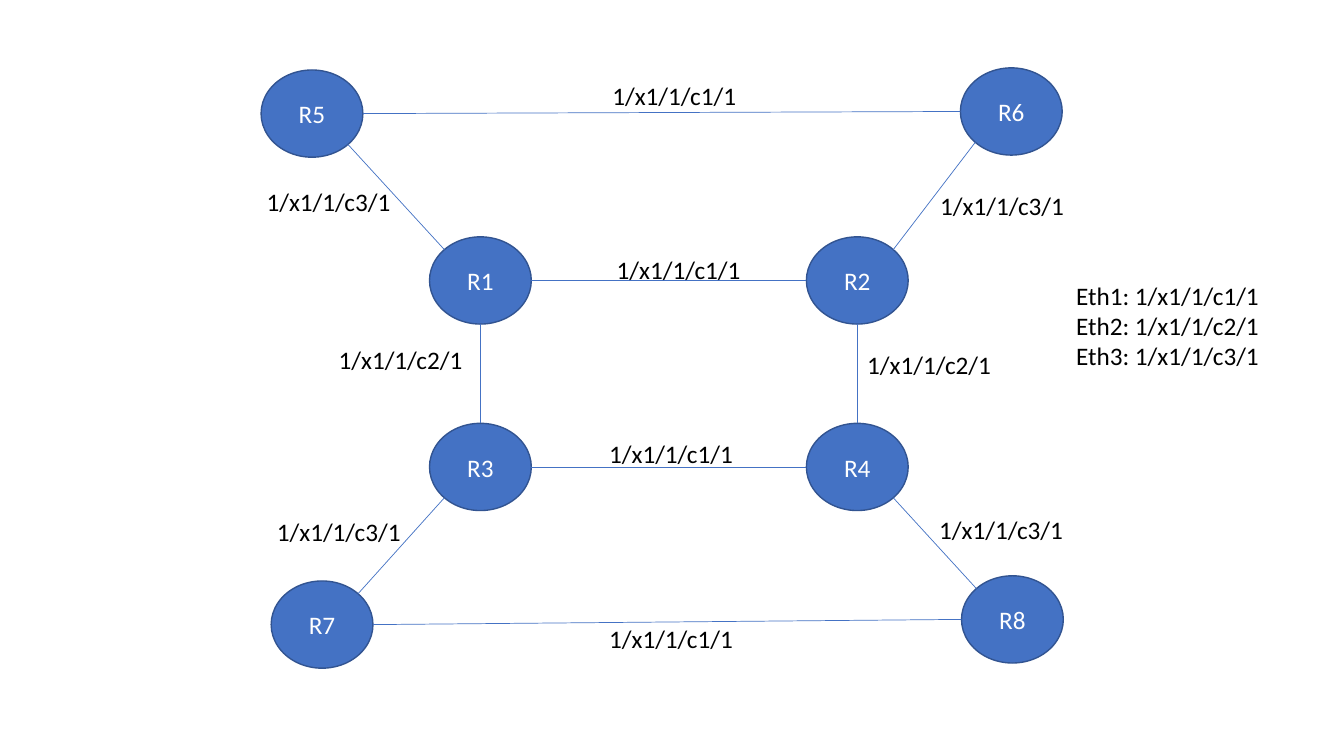
"""Router topology: eight nodes, their links and the port names."""
from math import cos, pi, sin
from typing import NamedTuple

from lxml import etree
from pptx import Presentation
from pptx.dml.color import RGBColor
from pptx.enum.shapes import MSO_CONNECTOR, MSO_SHAPE
from pptx.enum.text import MSO_ANCHOR, MSO_AUTO_SIZE, PP_ALIGN
from pptx.oxml.ns import qn
from pptx.shapes.autoshape import Shape
from pptx.slide import Slide
from pptx.text.text import TextFrame
from pptx.util import Pt

OVAL, STRAIGHT = MSO_SHAPE.OVAL, MSO_CONNECTOR.STRAIGHT
MIDDLE, CENTER, LEFT = MSO_ANCHOR.MIDDLE, PP_ALIGN.CENTER, PP_ALIGN.LEFT
FIT_SHAPE = MSO_AUTO_SIZE.SHAPE_TO_FIT_TEXT

BLUE = RGBColor(0x44, 0x72, 0xC4)
DARK_BLUE = RGBColor(0x32, 0x54, 0x91)
WHITE = RGBColor(0xFF, 0xFF, 0xFF)
BLACK = RGBColor(0, 0, 0)

FONT, FONT_SIZE = "Calibri", 18
NODE_W, NODE_H = 72.7, 62.3
LABEL_W, LABEL_H = 104.4, 29
INNER_LEFT, INNER_RIGHT = 306.8, 576
INNER_TOP, INNER_BOTTOM = 169.2, 302.4

# Connection sites of an ellipse, counted anticlockwise from the top
TOP, TOP_LEFT, W, BOTTOM_LEFT, BOTTOM, BOTTOM_RIGHT, E, TOP_RIGHT = range(8)


class Node(NamedTuple):
    """A router and its top left corner."""
    name: str
    left: float
    top: float


class Link(NamedTuple):
    """A line between the connection sites of two routers."""
    start: str
    start_site: int
    end: str
    end_site: int


class Label(NamedTuple):
    """Text and the place of its box."""
    text: str
    left: float
    top: float
    width: float = LABEL_W
    height: float = LABEL_H
    wrap: bool = False


PORT1, PORT2, PORT3 = (f"1/x1/1/c{n}/1" for n in (1, 2, 3))

NODES = [
    Node("R1", INNER_LEFT, INNER_TOP),
    Node("R3", INNER_LEFT, INNER_BOTTOM),
    Node("R2", INNER_RIGHT, INNER_TOP),
    Node("R4", INNER_RIGHT, INNER_BOTTOM),
    Node("R5", 186.5, 50),
    Node("R6", 686, 48.5),
    Node("R7", 193.7, 415),
    Node("R8", 686.8, 411.3),
]
LINKS = [
    Link("R5", BOTTOM_RIGHT, "R1", TOP_LEFT),
    Link("R1", BOTTOM, "R3", TOP),
    Link("R1", E, "R2", W),
    Link("R2", BOTTOM, "R4", TOP),
    Link("R3", E, "R4", W),
    Link("R2", TOP_RIGHT, "R6", BOTTOM_LEFT),
    Link("R7", TOP_RIGHT, "R3", BOTTOM_LEFT),
    Link("R4", BOTTOM_RIGHT, "R8", TOP_LEFT),
    Link("R5", E, "R6", W),
    Link("R7", E, "R8", W),
]
LABELS = [
    Label(PORT1, 433.4, 178.3),
    Label(PORT1, 428, 309.4),
    Label(PORT1, 430.3, 53.7),
    Label(PORT1, 428, 441.5),
    Label(PORT2, 234.8, 242.5),
    Label(PORT2, 612.3, 245.8),
    Label(PORT3, 664.5, 132.4),
    Label(PORT3, 183.3, 129.5),
    Label(PORT3, 663.8, 364),
    Label(PORT3, 190.7, 365.3),
    Label(f"Eth1: {PORT1}\nEth2: {PORT2}\nEth3: {PORT3}",
          761.6, 196.4, 190.8, 72.7, True),
]


def style_text(tf: TextFrame, color: RGBColor, align: PP_ALIGN) -> None:
    """Format every paragraph and run of a text frame."""
    for p in tf.paragraphs:
        p.alignment = align
        for r in p.runs:
            r.font.name = FONT
            r.font.size = Pt(FONT_SIZE)
            r.font.color.rgb = color


def add_node(s: Slide, node: Node) -> Shape:
    """Draw a router as a labelled ellipse."""
    sp = s.shapes.add_shape(OVAL, Pt(node.left), Pt(node.top), Pt(NODE_W), Pt(NODE_H))
    sp.shadow.inherit = False
    sp.fill.solid()
    sp.fill.fore_color.rgb = BLUE
    sp.line.color.rgb = DARK_BLUE
    sp.line.width = Pt(1)
    tf = sp.text_frame
    tf.text = node.name
    tf.vertical_anchor = MIDDLE
    style_text(tf, WHITE, CENTER)
    return sp


def site_point(sp: Shape, site: int) -> tuple[int, int]:
    """Return the position of a connection site on an ellipse."""
    angle = site * pi / 4
    x = sp.left + sp.width / 2 * (1 - sin(angle))
    y = sp.top + sp.height / 2 * (1 - cos(angle))
    return round(x), round(y)


def add_link(s: Slide, link: Link, routers: dict[str, Shape]) -> None:
    """Draw a line glued to two routers."""
    start, end = routers[link.start], routers[link.end]
    cxn = s.shapes.add_connector(
        STRAIGHT, *site_point(start, link.start_site), *site_point(end, link.end_site))
    cxn.line.color.rgb = BLUE
    cxn.line.width = Pt(0.5)
    etree.SubElement(cxn.element.spPr, qn("a:effectLst"))
    glue = cxn.element.find(".//" + qn("p:cNvCxnSpPr"))
    for tag, sp, site in (("a:stCxn", start, link.start_site),
                          ("a:endCxn", end, link.end_site)):
        etree.SubElement(glue, qn(tag), id=str(sp.shape_id), idx=str(site))


def add_label(s: Slide, label: Label) -> None:
    """Write a label in a text box."""
    sp = s.shapes.add_textbox(
        Pt(label.left), Pt(label.top), Pt(label.width), Pt(label.height))
    tf = sp.text_frame
    tf.text = label.text
    tf.word_wrap = label.wrap
    tf.auto_size = FIT_SHAPE
    style_text(tf, BLACK, LEFT)


def main() -> None:
    """Build the slide and save it."""
    prs = Presentation()
    prs.slide_width, prs.slide_height = Pt(960), Pt(540)
    s = prs.slides.add_slide(prs.slide_layouts[6])
    routers = {node.name: add_node(s, node) for node in NODES}
    for link in LINKS:
        add_link(s, link, routers)
    for label in LABELS:
        add_label(s, label)
    prs.save("out.pptx")


main()
